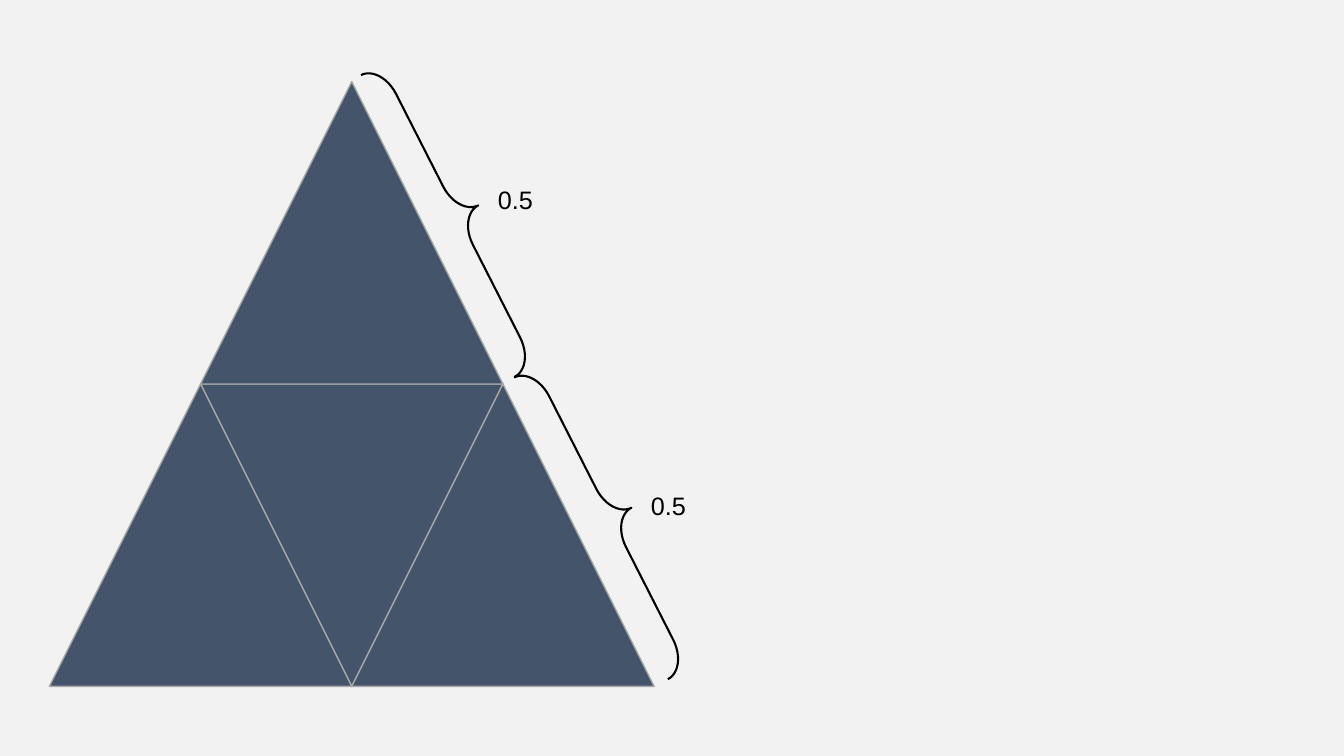
from pptx import Presentation
from pptx.dml.color import RGBColor as Rgb
from pptx.enum.shapes import MSO_SHAPE as Kind
from pptx.enum.text import MSO_AUTO_SIZE as Auto
from pptx.util import Pt

HUES = {"back": "F2F2F2", "face": "44546A", "edge": "A6A6A6", "ink": "000000"}
FONT = {"name": "Arial", "size": Pt(18)}
SIDE = 216
LEFT, TOP = 35.3, 58.3


def tint(name):
    return Rgb.from_string(HUES[name])


def draw(kind, left, top, wide, high, turn, edge, width):
    shape = slide.shapes.add_shape(kind, Pt(left), Pt(top), Pt(wide), Pt(high))
    shape.shadow.inherit = False
    shape.rotation = turn
    shape.line.color.rgb = tint(edge)
    shape.line.width = Pt(width)
    return shape


deck = Presentation()
deck.slide_width, deck.slide_height = Pt(960), Pt(540)
slide = deck.slides.add_slide(deck.slide_layouts[6])
back = slide.background.fill
back.solid()
back.fore_color.rgb = tint("back")

for col, row, turn in [(1, 1, 180), (1, 0, 0), (2, 1, 0), (0, 1, 0)]:
    left, top = LEFT + col * SIDE / 2, TOP + row * SIDE
    part = draw(Kind.ISOSCELES_TRIANGLE, left, top, SIDE, SIDE, turn, "edge", 1)
    part.fill.solid()
    part.fill.fore_color.rgb = tint("face")

for step in range(2):
    box = slide.shapes.add_textbox(
        Pt(348.5 + step * 109.4), Pt(128.2 + step * 218.8), Pt(39.6), Pt(29)
    )
    frame = box.text_frame
    frame.word_wrap = False
    frame.auto_size = Auto.SHAPE_TO_FIT_TEXT
    run = frame.paragraphs[0].add_run()
    run.text = "0.5"
    for key, value in FONT.items():
        setattr(run.font, key, value)
    run.font.color.rgb = tint("ink")

for step in range(2):
    left, top = 311 + step * 109.4, 33.1 + step * SIDE
    brace = draw(Kind.RIGHT_BRACE, left, top, 32.4, 241.9, 333, "ink", 1.5)
    brace.fill.background()
    brace.adjustments[0] = 0.72
    brace.adjustments[1] = 0.5

deck.save("out.pptx")
